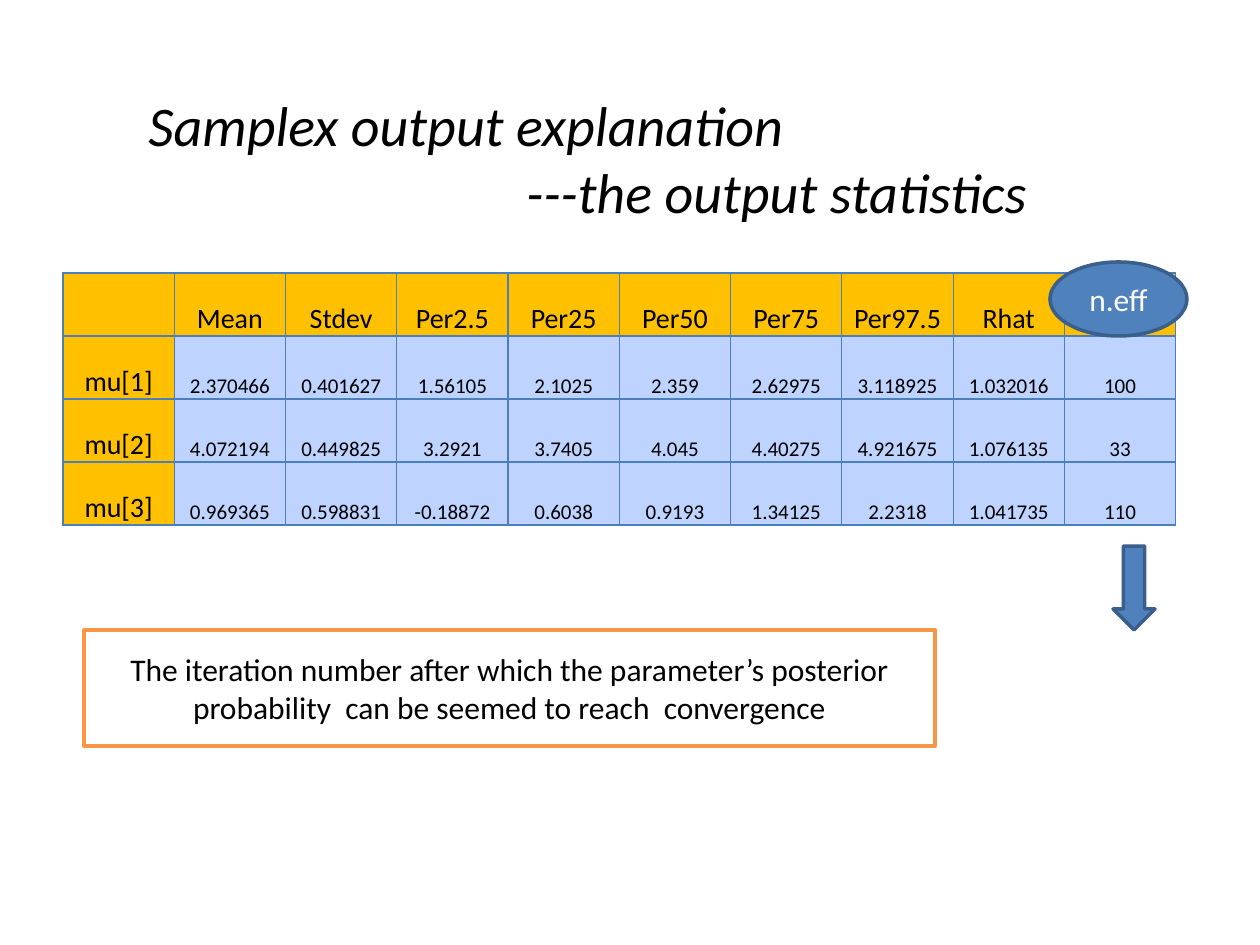
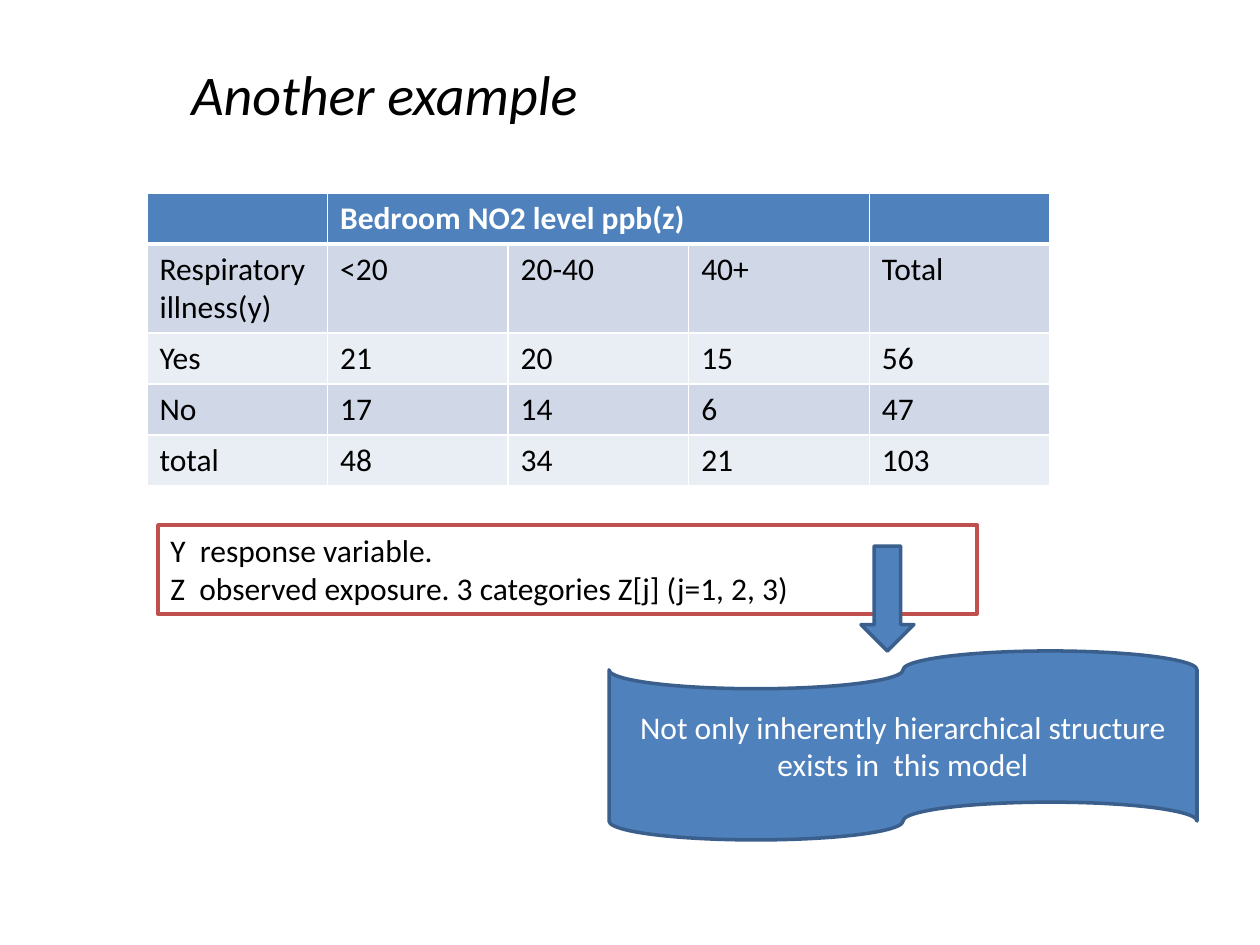
from lxml import etree
from pptx import Presentation
from pptx.dml.color import RGBColor
from pptx.enum.shapes import MSO_SHAPE
from pptx.enum.text import MSO_ANCHOR, PP_ALIGN
from pptx.oxml.ns import qn
from pptx.util import Emu, Inches, Pt

PX = Inches(1) / 126
FONT = "Calibri"
BLACK = RGBColor(0x00, 0x00, 0x00)
WHITE = RGBColor(0xFF, 0xFF, 0xFF)
BLUE = RGBColor(0x4F, 0x81, 0xBD)
BLUE_EDGE = RGBColor(0x3A, 0x5F, 0x8C)
GRID_BLUE = RGBColor(0x4B, 0x7E, 0xBC)
GOLD = RGBColor(0xFF, 0xC0, 0x00)
PALE_BLUE = RGBColor(0xBF, 0xD3, 0xFF)
ORANGE = RGBColor(0xF7, 0x96, 0x46)
RED = RGBColor(0xC0, 0x50, 0x4D)
BAND_DARK = RGBColor(0xD0, 0xD8, 0xE8)
BAND_LIGHT = RGBColor(0xE9, 0xED, 0xF4)

STATISTICS = [
    ["", "Mean", "Stdev", "Per2.5", "Per25", "Per50", "Per75", "Per97.5", "Rhat", "n.eff"],
    ["mu[1]", "2.370466", "0.401627", "1.56105", "2.1025", "2.359", "2.62975",
     "3.118925", "1.032016", "100"],
    ["mu[2]", "4.072194", "0.449825", "3.2921", "3.7405", "4.045", "4.40275",
     "4.921675", "1.076135", "33"],
    ["mu[3]", "0.969365", "0.598831", "-0.18872", "0.6038", "0.9193", "1.34125",
     "2.2318", "1.041735", "110"],
]
EXPOSURE = [
    ["", "Bedroom NO2 level ppb(z)", "", "", ""],
    ["Respiratory illness(y)", "<20", "20-40", "40+", "Total"],
    ["Yes", "21", "20", "15", "56"],
    ["No", "17", "14", "6", "47"],
    ["total", "48", "34", "21", "103"],
]


def px(length):
    """Turn pixels into EMU."""
    return Emu(round(length * PX))


def write(frame, lines, size=18, color=BLACK, align=PP_ALIGN.LEFT, bold=False, italic=False):
    """Fill a text frame with one paragraph for each line."""
    frame.word_wrap = True
    for i, line in enumerate(lines):
        paragraph = frame.paragraphs[0] if i == 0 else frame.add_paragraph()
        paragraph.alignment = align
        font = paragraph.font
        run = paragraph.add_run()
        run.text = line
        for font in (paragraph.font, run.font):
            font.name, font.size, font.bold, font.italic = FONT, Pt(size), bold, italic
            font.color.rgb = color


def add_title(slide, box, lines, indent=0):
    """Add an italic title whose later lines are indented."""
    frame = slide.shapes.add_textbox(*map(px, box)).text_frame
    write(frame, lines, 32, italic=True)
    for paragraph in frame.paragraphs[1:]:
        properties = paragraph._p.get_or_add_pPr()
        properties.set("marL", str(px(indent)))
        properties.set("indent", "0")


def add_figure(slide, preset, box, lines=(), fill=BLUE, edge=BLUE_EDGE, color=WHITE,
               align=PP_ALIGN.CENTER, anchor=MSO_ANCHOR.MIDDLE):
    """Add an outlined preset shape with optional text."""
    shape = slide.shapes.add_shape(preset, *map(px, box))
    shape.shadow.inherit = False
    shape.fill.solid()
    shape.fill.fore_color.rgb = fill
    shape.line.color.rgb = edge
    shape.line.width = Pt(2)
    shape.text_frame.vertical_anchor = anchor
    write(shape.text_frame, lines, color=color, align=align)


def set_borders(cell, color, **widths):
    """Draw the cell borders; widths are points by side L, R, T, B."""
    properties = cell._tc.get_or_add_tcPr()
    for side, width in widths.items():
        line = etree.SubElement(properties, qn("a:ln" + side), w=str(Pt(width)))
        fill = etree.SubElement(line, qn("a:solidFill"))
        etree.SubElement(fill, qn("a:srgbClr"), val=str(color))


def paint(cell, color):
    """Give a cell a solid fill."""
    cell.fill.solid()
    cell.fill.fore_color.rgb = color


def add_grid(slide, box, rows, heights):
    """Add a table with equal columns and the given row heights."""
    count = len(rows[0])
    table = slide.shapes.add_table(len(rows), count, *map(px, box)).table
    for column in table.columns:
        column.width = px(box[2] / count)
    for row, height in zip(table.rows, heights):
        row.height = px(height)
    return table


def add_statistics_table(slide, box):
    """Add the output statistics with gold headings."""
    heights = [box[3] / len(STATISTICS)] * len(STATISTICS)
    table = add_grid(slide, box, STATISTICS, heights)
    for r, values in enumerate(STATISTICS):
        for c, value in enumerate(values):
            cell = table.cell(r, c)
            heading = r == 0 or c == 0
            cell.margin_left = cell.margin_right = cell.margin_top = px(1)
            cell.margin_bottom = 0
            cell.vertical_anchor = MSO_ANCHOR.BOTTOM
            set_borders(cell, GRID_BLUE, L=0.75, R=0.75, T=0.75, B=0.75)
            paint(cell, GOLD if heading else PALE_BLUE)
            write(cell.text_frame, [value] if value else [], 16 if heading else 12,
                  align=PP_ALIGN.CENTER)


def add_exposure_table(slide, box):
    """Add the banded table of illness by exposure level."""
    line_height = 51
    heights = [line_height] * len(EXPOSURE)
    heights[1] = box[3] - line_height * (len(EXPOSURE) - 1)
    table = add_grid(slide, box, EXPOSURE, heights)
    table.cell(0, 1).merge(table.cell(0, 3))
    for r, values in enumerate(EXPOSURE):
        for c, value in enumerate(values):
            cell = table.cell(r, c)
            header = r == 0
            set_borders(cell, WHITE, L=1, R=1, T=3 if r == 1 else 1, B=3 if header else 1)
            paint(cell, BLUE if header else BAND_DARK if r % 2 else BAND_LIGHT)
            write(cell.text_frame, [value] if value else [],
                  color=WHITE if header else BLACK, bold=header)


def build_statistics_slide(slide):
    """Explain the effective number in the output statistics."""
    add_title(slide, (136, 84, 945, 149),
              ["Samplex output explanation", "---the output statistics"], indent=378)
    add_statistics_table(slide, (63, 273, 1113, 252))
    add_figure(slide, MSO_SHAPE.RECTANGLE, (84, 630, 851, 116),
               ["The iteration number after which the parameter\u2019s posterior "
                "probability  can be seemed to reach  convergence"],
               fill=WHITE, edge=ORANGE, color=BLACK)
    add_figure(slide, MSO_SHAPE.OVAL, (1050, 262, 137, 74), ["n.eff"])
    add_figure(slide, MSO_SHAPE.DOWN_ARROW, (1113, 546, 42, 84))


def build_example_slide(slide):
    """Show the exposure example and its variables."""
    add_exposure_table(slide, (147, 193, 903, 293))
    add_figure(slide, MSO_SHAPE.RECTANGLE, (158, 525, 819, 89),
               ["Y  response variable.", "Z  observed exposure. 3 categories Z[j] (j=1, 2, 3)"],
               fill=WHITE, edge=RED, color=BLACK, align=PP_ALIGN.LEFT, anchor=MSO_ANCHOR.TOP)
    add_title(slide, (179, 53, 882, 81), ["Another example"])
    add_figure(slide, MSO_SHAPE.DOWN_ARROW, (861, 546, 53, 105))
    add_figure(slide, MSO_SHAPE.FLOWCHART_PUNCHED_TAPE, (609, 651, 588, 189),
               ["Not only inherently hierarchical structure exists in  this model"])


presentation = Presentation()
presentation.slide_width, presentation.slide_height = Inches(10), Inches(7.5)
for build in (build_statistics_slide, build_example_slide):
    build(presentation.slides.add_slide(presentation.slide_layouts[6]))
presentation.save("out.pptx")
